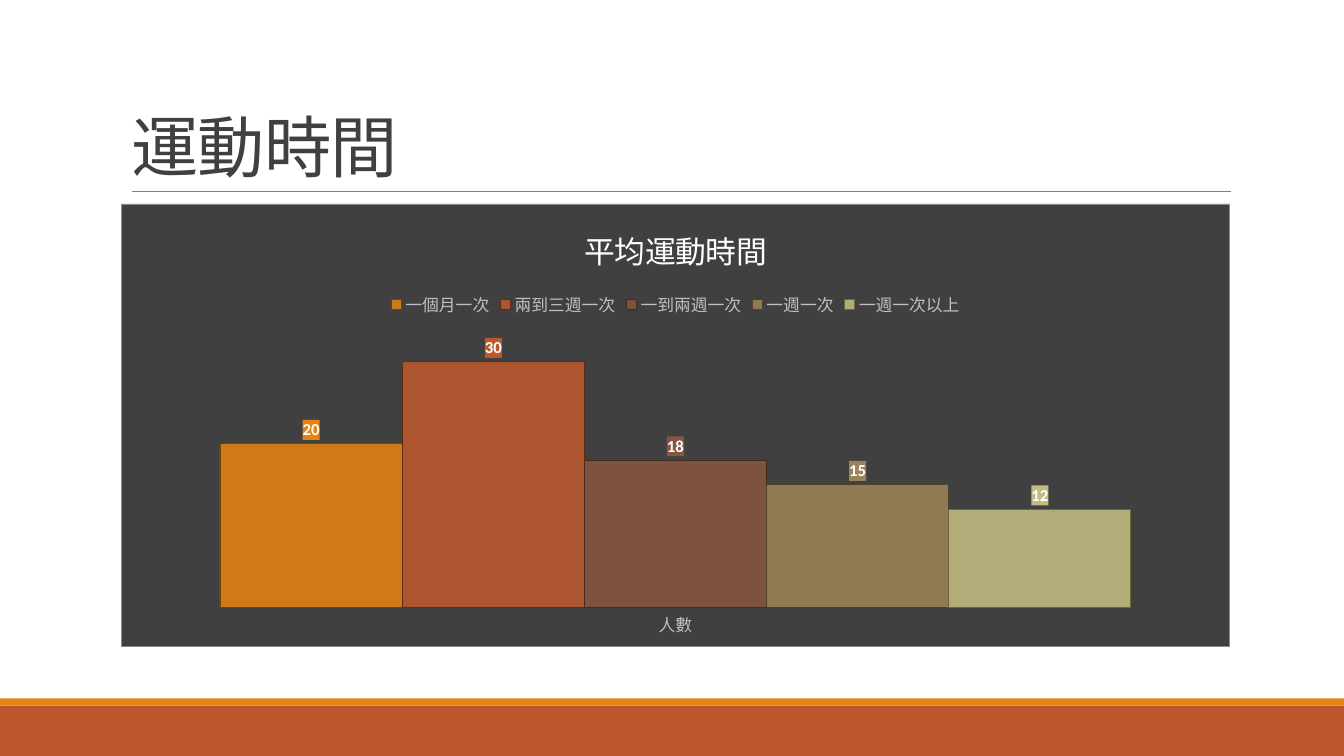
import pptx
import pptx.chart.data
import pptx.dml.color
import pptx.enum.chart
import pptx.enum.shapes
import pptx.enum.text
import pptx.oxml
import pptx.oxml.ns
import pptx.util
from pptx.util import Inches, Pt

FONT = "Calibri"
TITLE = "運動時間"
CHART_TITLE = "平均運動時間"
CATEGORY = "人數"
# name, value, fill, outline
SERIES = [
    ("一個月一次", 20, "E48312", "724209"),
    ("兩到三週一次", 30, "BD582C", "5E2C16"),
    ("一到兩週一次", 18, "865640", "432B20"),
    ("一週一次", 15, "9B8357", "4E422C"),
    ("一週一次以上", 12, "C2BC80", "6D6834"),
]
# top, height, fill
BANDS = [(7, 0.5, "BD582C"), (6.93, 0.07, "E48312")]
PLOT_AREA = {"x": 0.02, "y": 0.264, "w": 0.96, "h": 0.648}
BAR_OPACITY = 88
NAMESPACES = pptx.oxml.ns.nsdecls("a", "c")


def rgb(color):
    return pptx.dml.color.RGBColor.from_string(color)


def set_font(font, size, color, bold=False):
    font.name = FONT
    font.size = Pt(size)
    font.bold = bold
    font.color.rgb = rgb(color)


def area_format(fill, line=None):
    """Return a chart spPr element with a solid fill and an optional 0.5 pt border."""
    border = ""
    if line:
        border = (f'<a:ln w="{Pt(0.5)}"><a:solidFill><a:srgbClr val="{line}"/>'
                  '</a:solidFill></a:ln>')
    return pptx.oxml.parse_xml(
        f'<c:spPr {NAMESPACES}><a:solidFill><a:srgbClr val="{fill}"/></a:solidFill>'
        f'{border}</c:spPr>')


def add_background(slide, width):
    for top, height, color in BANDS:
        band = slide.shapes.add_shape(
            pptx.enum.shapes.MSO_SHAPE.RECTANGLE, 0, Inches(top), width, Inches(height))
        band.shadow.inherit = False
        band.fill.solid()
        band.fill.fore_color.rgb = rgb(color)
        band.line.fill.background()
    rule = slide.shapes.add_connector(
        pptx.enum.shapes.MSO_CONNECTOR.STRAIGHT,
        Inches(1.31), Inches(1.9), Inches(12.21), Inches(1.9))
    rule.line.color.rgb = rgb("808080")
    rule.line.width = Pt(0.5)
    rule._element.spPr.append(pptx.oxml.parse_xml(f"<a:effectLst {NAMESPACES}/>"))


def add_title(slide):
    title = slide.shapes.title
    title.left, title.top = Inches(1.2), Inches(0.31)
    title.width, title.height = Inches(11), Inches(1.59)
    frame = title.text_frame
    frame.text = TITLE
    frame.auto_size = pptx.enum.text.MSO_AUTO_SIZE.NONE
    frame.vertical_anchor = pptx.enum.text.MSO_ANCHOR.BOTTOM
    paragraph = frame.paragraphs[0]
    paragraph.alignment = pptx.enum.text.PP_ALIGN.LEFT
    paragraph.line_spacing = 0.85
    set_font(paragraph.font, 48, "404040")
    paragraph.runs[0].font._element.set("spc", "-50")


def format_series(series, fill, outline):
    series.format.fill.solid()
    series.format.fill.fore_color.rgb = rgb(fill)
    color = series._element.find(".//" + pptx.oxml.ns.qn("a:srgbClr"))
    color.append(pptx.oxml.parse_xml(
        f'<a:alpha {NAMESPACES} val="{BAR_OPACITY * 1000}"/>'))
    series.format.line.color.rgb = rgb(outline)
    series.format.line.width = Pt(0.75)
    labels = series.data_labels
    labels.show_value = True
    labels.position = pptx.enum.chart.XL_LABEL_POSITION.OUTSIDE_END
    set_font(labels.font, 12, "FFFFFF", bold=True)
    text_format = labels._element.find(pptx.oxml.ns.qn("c:txPr"))
    text_format.addprevious(area_format(fill))


def place_plot_area(chart):
    plot_area = chart._chartSpace.chart.plotArea
    for layout in plot_area.findall(pptx.oxml.ns.qn("c:layout")):
        plot_area.remove(layout)
    modes = '<c:xMode val="edge"/><c:yMode val="edge"/>'
    sizes = "".join(f'<c:{key} val="{value}"/>' for key, value in PLOT_AREA.items())
    plot_area.insert(0, pptx.oxml.parse_xml(
        f'<c:layout {NAMESPACES}><c:manualLayout><c:layoutTarget val="inner"/>'
        f'{modes}{sizes}</c:manualLayout></c:layout>'))


def add_chart(slide):
    data = pptx.chart.data.CategoryChartData()
    data.categories = [CATEGORY]
    for name, value, _, _ in SERIES:
        data.add_series(name, [value])
    chart = slide.shapes.add_chart(
        pptx.enum.chart.XL_CHART_TYPE.COLUMN_CLUSTERED,
        Inches(1.2), Inches(2.02), Inches(11), Inches(4.4), data).chart
    set_font(chart.font, 10, "000000")
    text_format = chart._chartSpace.find(pptx.oxml.ns.qn("c:txPr"))
    text_format.addprevious(area_format("404040", "8C8C8C"))

    chart.has_title = True
    chart.chart_title.include_in_layout = False
    chart.chart_title.text_frame.text = CHART_TITLE
    set_font(chart.chart_title.text_frame.paragraphs[0].font, 22, "FFFFFF")

    chart.has_legend = True
    chart.legend.position = pptx.enum.chart.XL_LEGEND_POSITION.TOP
    chart.legend.include_in_layout = False
    set_font(chart.legend.font, 12, "BFBFBF")

    category_axis = chart.category_axis
    category_axis.major_tick_mark = pptx.enum.chart.XL_TICK_MARK.NONE
    category_axis.format.line.fill.background()
    set_font(category_axis.tick_labels.font, 12, "BFBFBF")
    value_axis = chart.value_axis
    value_axis.minimum_scale, value_axis.maximum_scale = 0, 35
    value_axis.has_major_gridlines = False
    value_axis.visible = False

    plot = chart.plots[0]
    plot.gap_width = 84
    plot.overlap = 0
    plot.vary_by_categories = False
    for series, (_, _, fill, outline) in zip(plot.series, SERIES):
        format_series(series, fill, outline)
    place_plot_area(chart)


def main():
    presentation = pptx.Presentation()
    presentation.slide_width = Inches(13.33)
    presentation.slide_height = Inches(7.5)
    slide = presentation.slides.add_slide(presentation.slide_layouts[5])
    add_background(slide, presentation.slide_width)
    add_title(slide)
    add_chart(slide)
    presentation.save("out.pptx")


if __name__ == "__main__":
    main()
